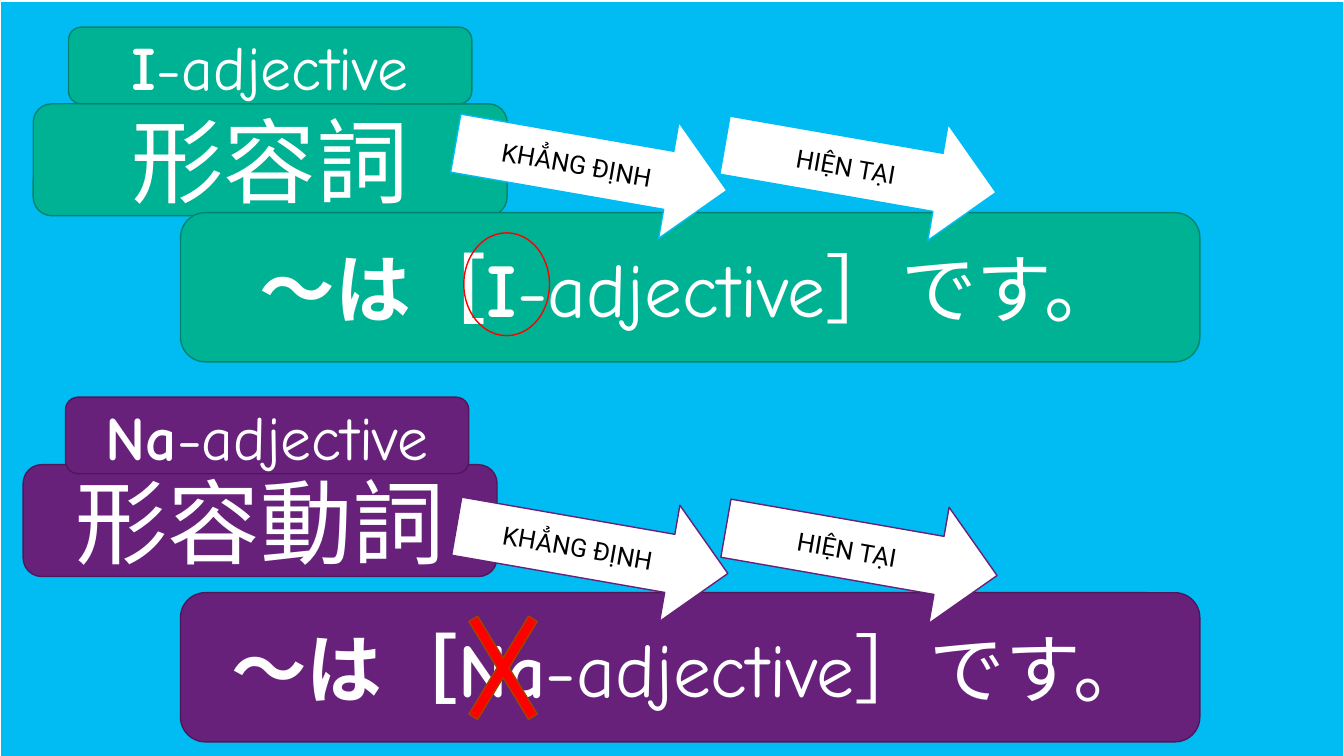
import pptx
import pptx.util
from dataclasses import dataclass
from lxml import etree
from pptx.dml.color import RGBColor
from pptx.enum.shapes import MSO_SHAPE
from pptx.enum.text import MSO_ANCHOR, PP_ALIGN
from pptx.oxml.ns import qn
from pptx.util import Inches


@dataclass(frozen=True)
class Theme:
    sky: str = "00BCF2"
    white: str = "FFFFFF"
    black: str = "000000"
    green: str = "00B294"
    green_edge: str = "00846D"
    purple: str = "68217A"
    purple_edge: str = "4D185A"
    red: str = "FF0000"
    rust: str = "A34200"
    latin: str = "Comic Neue"
    kanji: str = "Noto Sans CJK JP"
    label: str = "Roboto"
    kanji_size: int = 66
    pattern_size: int = 54
    tag_size: int = 44
    label_size: int = 18


class SlideBuilder:
    def __init__(self, slide, theme):
        self.slide = slide
        self.theme = theme

    def shape(self, kind, box, fill, line, width=1):
        sp = self.slide.shapes.add_shape(kind, *(Inches(v) for v in box))
        sp.shadow.inherit = False
        if fill:
            sp.fill.solid()
            sp.fill.fore_color.rgb = RGBColor.from_string(fill)
        else:
            sp.fill.background()
        sp.line.color.rgb = RGBColor.from_string(line)
        sp.line.width = pptx.util.Pt(width)
        return sp

    def text(self, sp, parts, font, size, color):
        tf = sp.text_frame
        tf.word_wrap = True
        tf.vertical_anchor = MSO_ANCHOR.MIDDLE
        p = tf.paragraphs[0]
        p.alignment = PP_ALIGN.CENTER
        p.font.name = font
        p.font.size = pptx.util.Pt(size)
        p.font.color.rgb = RGBColor.from_string(color)
        props = p._p.get_or_add_pPr().find(qn("a:defRPr"))
        etree.SubElement(props, qn("a:ea")).set("typeface", font)
        for content, bold in parts:
            r = p.add_run()
            r.text = content
            r.font.bold = bold

    def card(self, box, fill, edge, parts, font, size):
        sp = self.shape(MSO_SHAPE.ROUNDED_RECTANGLE, box, fill, edge)
        self.text(sp, parts, font, size, self.theme.white)

    def arrow(self, left, top, label, edge):
        t = self.theme
        sp = self.shape(MSO_SHAPE.RIGHT_ARROW, (left, top, 2.73, 1.17), t.white, edge)
        sp.rotation = 9.9
        self.text(sp, [(label, False)], t.label, t.label_size, t.black)

    def circle(self, box):
        self.shape(MSO_SHAPE.OVAL, box, None, self.theme.red)

    def cross(self, box):
        sp = self.shape(MSO_SHAPE.MATH_MULTIPLY, box, self.theme.red, self.theme.rust)
        sp.adjustments[0] = 0.089

    def family(self, prefix, kanji, fill, edge, arrow_edge, word_at, pattern_top,
               tag_at, arrow_at, mark, mark_box):
        t = self.theme
        self.card((*word_at, 4.7, 1.11), fill, edge,
                  [(kanji, False)], t.kanji, t.kanji_size)
        self.card((1.79, pattern_top, 10.11, 1.48), fill, edge,
                  [("～は［" + prefix, True), ("-adjective］です。", False)],
                  t.latin, t.pattern_size)
        mark(mark_box)
        left, top = arrow_at
        for i, label in enumerate(("KHẲNG ĐỊNH", "HIỆN TẠI")):
            self.arrow(left + 2.67 * i, top + 0.02 * i, label, arrow_edge)
        self.card((*tag_at, 4, 0.76), fill, edge,
                  [(prefix, True), ("-adjective", False)], t.latin, t.tag_size)


def main():
    prs = pptx.Presentation()
    prs.slide_width, prs.slide_height = Inches(13.33), Inches(7.5)
    theme = Theme()
    s = SlideBuilder(prs.slides.add_slide(prs.slide_layouts[6]), theme)
    s.shape(MSO_SHAPE.RECTANGLE, (0, 0.01, 13.33, 7.5), theme.sky, theme.white, 1.5)
    s.family("I", "形容詞", theme.green, theme.green_edge, theme.sky,
             word_at=(0.33, 1.03), pattern_top=2.11, tag_at=(0.68, 0.27),
             arrow_at=(4.5, 1.07), mark=s.circle, mark_box=(4.6, 2.31, 0.85, 1.02))
    s.family("Na", "形容動詞", theme.purple, theme.purple_edge, theme.purple,
             word_at=(0.23, 4.61), pattern_top=5.88, tag_at=(0.65, 3.94),
             arrow_at=(4.51, 4.87), mark=s.cross, mark_box=(4.42, 5.69, 1.14, 1.87))
    prs.save("out.pptx")


if __name__ == "__main__":
    main()
